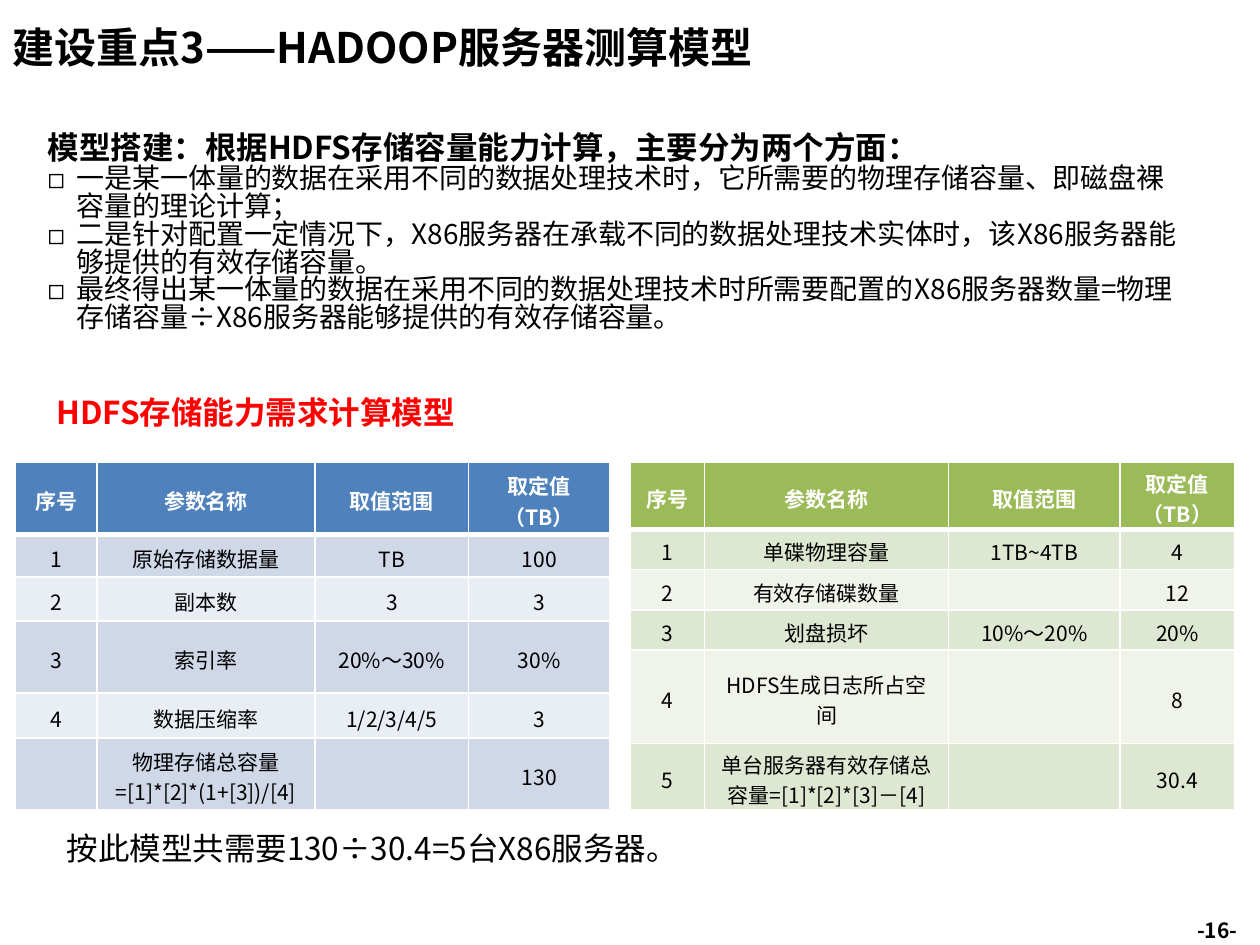
from lxml import etree
from pptx import Presentation
from pptx.dml.color import RGBColor
from pptx.enum.text import MSO_ANCHOR, PP_ALIGN
from pptx.oxml.ns import qn
from pptx.util import Inches, Pt

TOP, MIDDLE, BOTTOM = MSO_ANCHOR.TOP, MSO_ANCHOR.MIDDLE, MSO_ANCHOR.BOTTOM
LEFT, CENTER, RIGHT = PP_ALIGN.LEFT, PP_ALIGN.CENTER, PP_ALIGN.RIGHT
UNIT = 0.1
COLS, ROWS = 100, 75
FONT = "Noto Sans CJK SC"
TIGHT = 0.83
COLORS = {
    "ink": "000000", "white": "FFFFFF", "red": "FF0000",
    "blue": "4F81BD", "blue odd": "D0D8E8", "blue even": "E9EDF4",
    "green": "9BBB59", "green odd": "DEE7D1", "green even": "EFF3EA",
}
HEADS = ["序号", "参数名称", "取值范围", "取定值（TB）"]
DEMAND = [
    HEADS,
    ["1", "原始存储数据量", "TB", "100"],
    ["2", "副本数", "3", "3"],
    ["3", "索引率", "20%～30%", "30%"],
    ["4", "数据压缩率", "1/2/3/4/5", "3"],
    ["", "物理存储总容量=[1]*[2]*(1+[3])/[4]", "", "130"],
]
SERVER = [
    HEADS,
    ["1", "单碟物理容量", "1TB~4TB", "4"],
    ["2", "有效存储碟数量", "", "12"],
    ["3", "划盘损坏", "10%～20%", "20%"],
    ["4", "HDFS生成日志所占空间", "", "8"],
    ["5", "单台服务器有效存储总容量=[1]*[2]*[3]－[4]", "", "30.4"],
]
POINTS = [
    "一是某一体量的数据在采用不同的数据处理技术时，它所需要的物理存储容量、即磁盘裸容量的理论计算；",
    "二是针对配置一定情况下，X86服务器在承载不同的数据处理技术实体时，该X86服务器能够提供的有效存储容量。",
    "最终得出某一体量的数据在采用不同的数据处理技术时所需要配置的X86服务器数量=物理存储容量÷X86服务器能够提供的有效存储容量。",
]


def grid(n):
    return Inches(n * UNIT)


def color(name):
    return RGBColor.from_string(COLORS[name])


def add_run(para, text, size, tint="ink", bold=False):
    run = para.add_run()
    run.text = text
    font = run.font
    font.size, font.bold, font.name = Pt(size), bold, FONT
    font.color.rgb = color(tint)
    etree.SubElement(font._element, qn("a:ea"), typeface=FONT)


def add_box(slide, at, anchor=TOP):
    frame = slide.shapes.add_textbox(*map(grid, at)).text_frame
    frame.word_wrap = True
    frame.vertical_anchor = anchor
    return frame


def add_line(slide, at, text, size, tint="ink", bold=False, align=LEFT, anchor=TOP):
    frame = add_box(slide, at, anchor)
    para = frame.paragraphs[0]
    para.alignment, para.line_spacing = align, TIGHT
    add_run(para, text, size, tint, bold)
    return frame


def add_point(frame, text):
    para = frame.add_paragraph()
    para.line_spacing = TIGHT
    props = para._p.get_or_add_pPr()
    props.set("marL", str(grid(2.3)))
    props.set("indent", str(-grid(2.3)))
    etree.SubElement(props, qn("a:buFont"), typeface=FONT)
    etree.SubElement(props, qn("a:buChar"), char="◻")
    add_run(para, text, 16)


def add_edge(cell, side, width):
    props = cell._tc.get_or_add_tcPr()
    edge = etree.Element(qn(f"a:{side}"), w=str(Pt(width)))
    fill = etree.SubElement(edge, qn("a:solidFill"))
    etree.SubElement(fill, qn("a:srgbClr"), val=COLORS["white"])
    props.append(edge)


def fill_cell(cell, text, row, hue):
    head = row == 0
    cell.vertical_anchor = MIDDLE
    cell.margin_top, cell.margin_bottom = grid(0.4), 0
    for side in ("lnL", "lnR", "lnT", "lnB"):
        thick = (row, side) in ((0, "lnB"), (1, "lnT"))
        add_edge(cell, side, 3 if thick else 1)
    shade = hue if head else f"{hue} {'odd' if row % 2 else 'even'}"
    cell.fill.solid()
    cell.fill.fore_color.rgb = color(shade)
    para = cell.text_frame.paragraphs[0]
    para.alignment = CENTER
    if text:
        add_run(para, text, 12, "white" if head else "ink", head)
    else:
        etree.SubElement(para._p, qn("a:endParaRPr"), sz="1200")


def add_grid(slide, left, top, wide, high, data, hue):
    frame = slide.shapes.add_table(
        len(high), len(wide), grid(left), grid(top), grid(sum(wide)), grid(sum(high)))
    table = frame.table
    for col, size in zip(table.columns, wide):
        col.width = grid(size)
    for row, size in zip(table.rows, high):
        row.height = grid(size)
    for r, line in enumerate(data):
        for c, text in enumerate(line):
            fill_cell(table.cell(r, c), text, r, hue)


def main():
    deck = Presentation()
    deck.slide_width, deck.slide_height = grid(COLS), grid(ROWS)
    slide = deck.slides.add_slide(deck.slide_layouts[6])
    add_line(slide, (83.9, 72.3, 15.3, 3), "-16-", 12, bold=True, align=RIGHT, anchor=BOTTOM)
    add_line(slide, (0, 0.5, 94.9, 7.1), "建设重点3——HADOOP服务器测算模型", 24,
             bold=True, anchor=MIDDLE)
    body = add_line(slide, (2.8, 10.2, 92.9, 20.2),
                    "模型搭建：根据HDFS存储容量能力计算，主要分为两个方面：", 18, bold=True)
    for text in POINTS:
        add_point(body, text)
    add_line(slide, (3.5, 31.2, 40.2, 4), "HDFS存储能力需求计算模型", 18, "red", True)
    add_grid(slide, 1.2, 36.7, (6.5, 17.3, 12.2, 11.2),
             (5.7, 3.4, 3.5, 5.7, 3.6, 5.7), DEMAND, "blue")
    add_grid(slide, 50, 36.7, (5.9, 19.4, 13.6, 9.1),
             (5.3, 3.2, 3.2, 3.2, 7.4, 5.3), SERVER, "green")
    add_line(slide, (4.3, 65.8, 59.8, 4), "按此模型共需要130÷30.4=5台X86服务器。", 18)
    deck.save("out.pptx")


if __name__ == "__main__":
    main()
